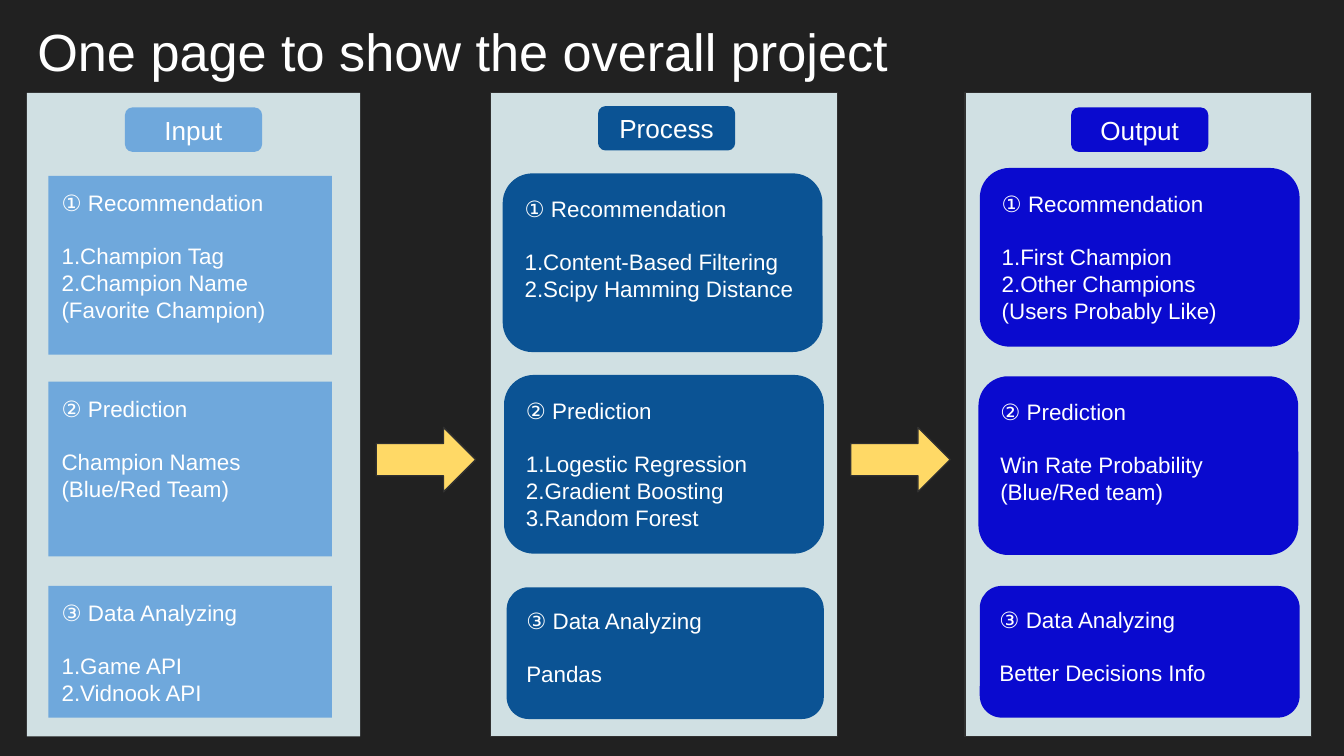
"""Build a one-page project overview: input, process and output columns."""
from pptx import Presentation
from pptx import util as u
from pptx.dml.color import RGBColor
from pptx.enum import shapes, text

RECT = shapes.MSO_SHAPE.RECTANGLE
ROUND = shapes.MSO_SHAPE.ROUNDED_RECTANGLE
ARROW = shapes.MSO_SHAPE.RIGHT_ARROW

deck = Presentation()
deck.slide_width = u.Inches(10)
deck.slide_height = u.Inches(10 * 9 / 16)
page = deck.slides.add_slide(deck.slide_layouts[6])
page.background.fill.solid()
page.background.fill.fore_color.rgb = RGBColor.from_string("212121")


def add_box(kind, place, fill, line=None):
    box = page.shapes.add_shape(kind, *map(u.Inches, place))
    box.shadow.inherit = False
    box.fill.solid()
    box.fill.fore_color.rgb = RGBColor.from_string(fill)
    if line:
        box.line.color.rgb = RGBColor.from_string(line)
        box.line.width = u.Pt(0.75)
    else:
        box.line.fill.background()
    return box


def write(box, lines, size, anchor="TOP", align="LEFT", gap=0):
    inset = u.Inches(0.1)
    frame_format = {
        "word_wrap": True,
        "vertical_anchor": text.MSO_ANCHOR[anchor],
        "margin_left": inset,
        "margin_right": inset,
        "margin_top": inset,
        "margin_bottom": inset,
    }
    for name, value in frame_format.items():
        setattr(box.text_frame, name, value)
    for index, line in enumerate(lines):
        para = box.text_frame.paragraphs[0] if index == 0 else box.text_frame.add_paragraph()
        para.alignment = text.PP_ALIGN[align]
        if index == 0 and gap:
            para.space_after = u.Pt(gap)
        span = para.add_run()
        span.text = line
        font_format = {"name": "Arial", "size": u.Pt(size)}
        for name, value in font_format.items():
            setattr(span.font, name, value)
        span.font.color.rgb = RGBColor.from_string("FFFFFF")


title = page.shapes.add_textbox(*map(u.Inches, (0.18, 0.04, 9.32, 0.58)))
write(title, ["One page to show the overall project"], 28)

headings = ["① Recommendation", "② Prediction", "③ Data Analyzing"]
columns = [
    {
        "name": "Input", "fill": "6FA8DC", "kind": RECT, "line": None,
        "panel": (0.2, 2.48), "label": (0.93, 0.8),
        "cards": [
            ((0.36, 1.31, 2.11, 1.33), ["1.Champion Tag 2.Champion Name", "(Favorite Champion)"]),
            ((0.36, 2.84, 2.11, 1.3), ["Champion Names", "(Blue/Red Team)"]),
            ((0.36, 4.36, 2.11, 0.98), ["1.Game API", "2.Vidnook API"]),
        ],
    },
    {
        "name": "Process", "fill": "0B5394", "kind": ROUND, "line": "303030",
        "panel": (3.65, 2.58), "label": (4.45, 0.79),
        "cards": [
            ((3.74, 1.29, 2.38, 1.33), ["1.Content-Based Filtering", "2.Scipy Hamming Distance"]),
            ((3.75, 2.79, 2.38, 1.33),
             ["1.Logestic Regression 2.Gradient Boosting", "3.Random Forest"]),
            ((3.77, 4.37, 2.36, 0.98), ["Pandas"]),
        ],
    },
    {
        "name": "Output", "fill": "0A0ACF", "kind": ROUND, "line": "303030",
        "panel": (7.18, 2.58), "label": (7.97, 0.8),
        "cards": [
            ((7.29, 1.25, 2.38, 1.33),
             ["1.First Champion", "2.Other Champions", "(Users Probably Like)"]),
            ((7.28, 2.8, 2.38, 1.33), ["Win Rate Probability", "(Blue/Red team)"]),
            ((7.29, 4.36, 2.38, 0.98), ["Better Decisions Info"]),
        ],
    },
]

for column in columns:
    left, width = column["panel"]
    add_box(RECT, (left, 0.69, width, 4.79), "D0E0E3", column["line"])
    label = add_box(ROUND, (*column["label"], 1.02, 0.33), column["fill"])
    write(label, [column["name"]], 14, "MIDDLE", "CENTER")
    for heading, (place, lines) in zip(headings, column["cards"]):
        card = add_box(column["kind"], place, column["fill"])
        write(card, [heading, *lines], 12, gap=14)

for left in (2.8, 6.33):
    add_box(ARROW, (left, 3.18, 0.74, 0.48), "FFD966", "303030")

deck.save("out.pptx")
